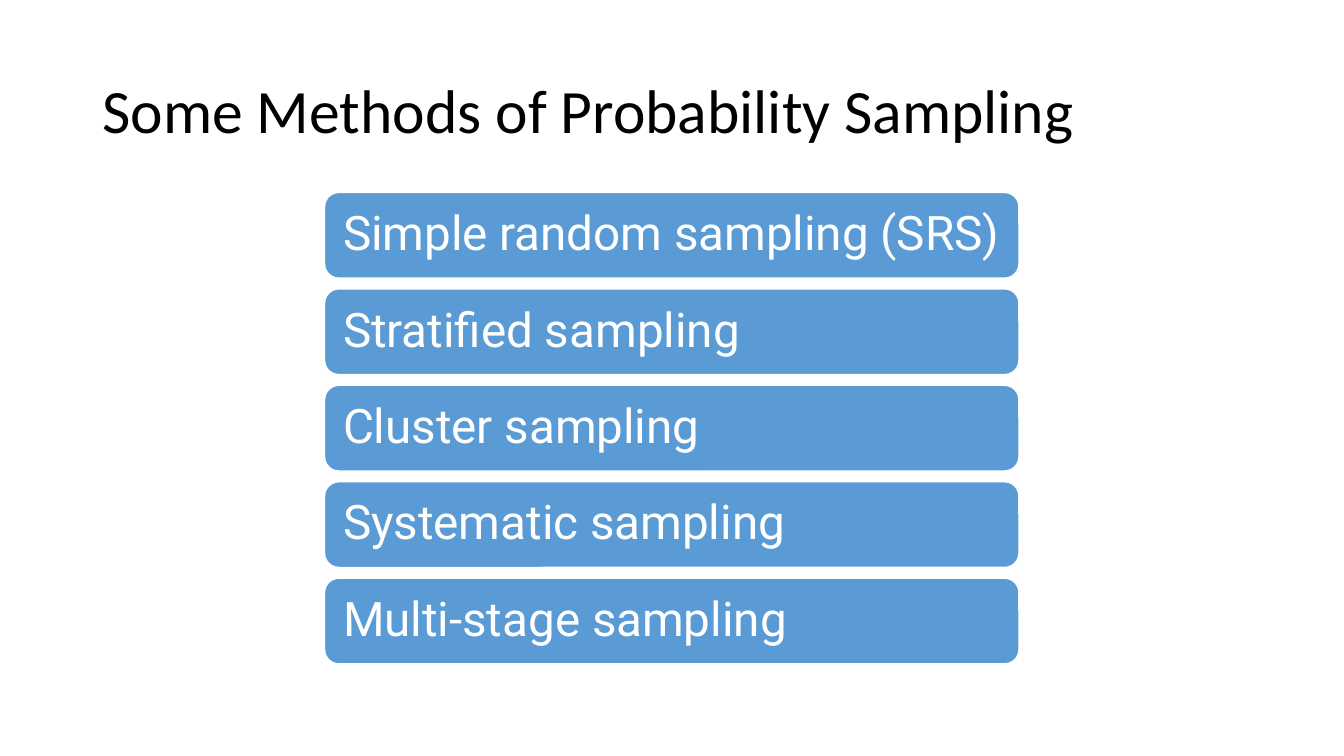
from dataclasses import dataclass

from pptx import Presentation
from pptx import util as u
from pptx.dml.color import RGBColor
from pptx.enum import shapes, text


@dataclass(frozen=True)
class Theme:
    ink: str = "000000"
    paper: str = "FFFFFF"
    bar: str = "5B9BD5"
    title_font: str = "Calibri"
    bar_font: str = "Roboto"
    title_size: int = 44
    bar_size: int = 34
    outline: int = 1
    line_spacing: float = 0.9


def write(frame, words, *, font, size, color, spacing, inset=None):
    """Put one left-aligned, vertically centred paragraph into a frame."""
    frame.word_wrap = True
    frame.auto_size = text.MSO_AUTO_SIZE.NONE
    frame.vertical_anchor = text.MSO_ANCHOR.MIDDLE
    if inset is not None:
        frame.margin_left = frame.margin_top = frame.margin_bottom = inset
        frame.margin_right = inset // 2
    paragraph = frame.paragraphs[0]
    paragraph.alignment = text.PP_ALIGN.LEFT
    paragraph.line_spacing = spacing
    run = paragraph.add_run()
    run.text = words
    run.font.name = font
    run.font.size = u.Pt(size)
    run.font.color.rgb = RGBColor.from_string(color)


class SlideBuilder:
    def __init__(self, slide, theme):
        self.slide = slide
        self.theme = theme

    def title(self, words, left, top, width, height):
        heading = self.slide.shapes.title
        heading.left, heading.top = left, top
        heading.width, heading.height = width, height
        write(heading.text_frame, words, font=self.theme.title_font,
              size=self.theme.title_size, color=self.theme.ink,
              spacing=self.theme.line_spacing)

    def bar(self, words, left, top, width, height):
        method = self.slide.shapes.add_shape(
            shapes.MSO_SHAPE.ROUNDED_RECTANGLE, left, top, width, height)
        method.shadow.inherit = False
        method.fill.solid()
        method.fill.fore_color.rgb = RGBColor.from_string(self.theme.bar)
        method.line.color.rgb = RGBColor.from_string(self.theme.paper)
        method.line.width = u.Pt(self.theme.outline)
        write(method.text_frame, words, font=self.theme.bar_font,
              size=self.theme.bar_size, color=self.theme.paper,
              spacing=self.theme.line_spacing, inset=u.Cm(0.36))


def main():
    deck = Presentation()
    deck.slide_width, deck.slide_height = u.Cm(33.87), u.Cm(19.05)
    title_only = deck.slide_layouts[5]
    builder = SlideBuilder(deck.slides.add_slide(title_only), Theme())

    # Heading
    builder.title("Some Methods of Probability Sampling",
                  u.Cm(2.33), u.Cm(1.01), u.Cm(29.21), u.Cm(3.68))

    # Stack of sampling methods
    methods = ["Simple random sampling (SRS)", "Stratified sampling",
               "Cluster sampling", "Systematic sampling",
               "Multi-stage sampling"]
    first_top, pitch = u.Cm(4.85), u.Cm(2.43)
    for row, method in enumerate(methods):
        builder.bar(method, u.Cm(8.18), first_top + row * pitch,
                    u.Cm(17.5), u.Cm(2.16))

    deck.save("out.pptx")


if __name__ == "__main__":
    main()
